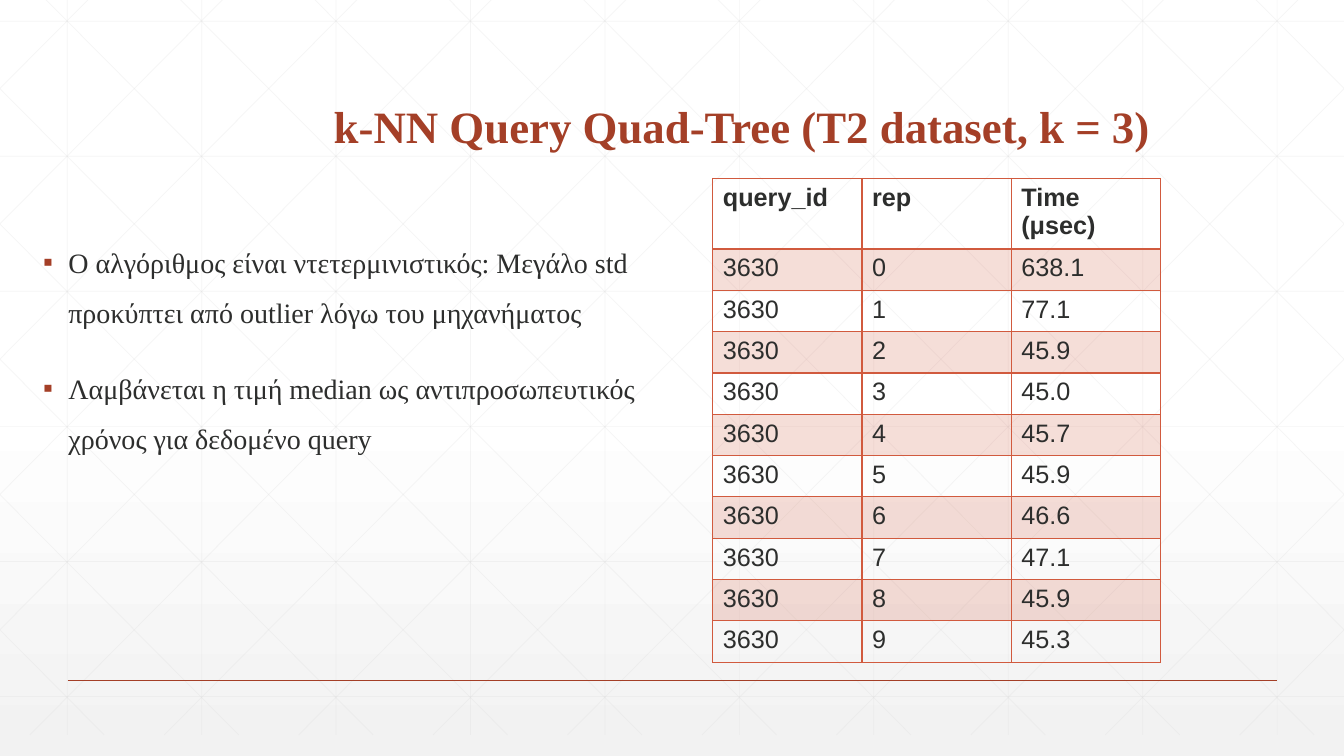
import pptx
import pptx.dml.color
import pptx.enum.dml
import pptx.enum.shapes
import pptx.enum.text
import pptx.oxml
import pptx.oxml.ns
import pptx.util
from dataclasses import dataclass
from lxml import etree
from pptx.util import Inches

TITLE = "k-NN Query Quad-Tree (T2 dataset, k = 3)"
REMARKS = [
    "Ο αλγόριθμος είναι ντετερμινιστικός: Μεγάλο std προκύπτει από outlier λόγω του μηχανήματος",
    "Λαμβάνεται η τιμή median ως αντιπροσωπευτικός χρόνος για δεδομένο query",
]
HEADINGS = ("query_id", "rep", "Time (μsec)")
QUERY_ID = "3630"
TIMES = ("638.1", "77.1", "45.9", "45.0", "45.7", "45.9", "46.6", "47.1", "45.9", "45.3")


@dataclass(frozen=True)
class Theme:
    accent: str = "A43F27"
    table: str = "D15A3E"
    text: str = "2D2E2D"
    grid: str = "D9D9D9"
    paper: str = "FFFFFF"
    shade: str = "F2F2F2"
    serif: str = "Times New Roman"
    sans: str = "Arial"
    title_size: int = 32
    remark_size: int = 20
    table_size: int = 18


THEME = Theme()
WIDTH, HEIGHT = 13.33, 7.5
GRID_TOP, GRID_BOTTOM = -0.21, 7.29
COLUMN_STEP, ROW_STEP = 4 / 3, 1.34
DIAGONAL_START, DIAGONAL_RUN = 0.25, 7.45


def rgb(code):
    return pptx.dml.color.RGBColor.from_string(code)


def xml(markup):
    return pptx.oxml.parse_xml(markup.replace(">", f" {pptx.oxml.ns.nsdecls('a', 'p')}>", 1))


def set_alpha(fill_parent, percent):
    color = next(fill_parent.iter(pptx.oxml.ns.qn("a:srgbClr")))
    etree.SubElement(color, pptx.oxml.ns.qn("a:alpha"), val=str(percent * 1000))


def write(paragraph, text, *, size, font, color, bold=False, line_spacing=None):
    paragraph.text = text
    paragraph.alignment = pptx.enum.text.PP_ALIGN.LEFT
    if line_spacing:
        paragraph.line_spacing = line_spacing
    paragraph.font.size = pptx.util.Pt(size)
    paragraph.font.name = font
    paragraph.font.bold = bold
    paragraph.font.color.rgb = rgb(color)


def add_line(shapes, start, end, color, width, alpha=None):
    line = shapes.add_connector(
        pptx.enum.shapes.MSO_CONNECTOR.STRAIGHT, *(Inches(v) for v in (*start, *end)))
    line.line.color.rgb = rgb(color)
    line.line.width = pptx.util.Pt(width)
    properties = line._element.spPr
    if alpha:
        set_alpha(properties, alpha)
    etree.SubElement(properties, pptx.oxml.ns.qn("a:effectLst"))


def grid_lines():
    """Yield the ends of every vertical, horizontal and diagonal grid line."""
    for i in range(10):
        x = 2 / 3 + i * COLUMN_STEP
        yield (x, GRID_TOP), (x, GRID_BOTTOM)
    for i in range(6):
        y = 0.21 + i * ROW_STEP
        yield (0, y), (WIDTH, y)
    slope = (GRID_BOTTOM - GRID_TOP) / DIAGONAL_RUN
    for i in range(-5, 10):
        origin = DIAGONAL_START + i * COLUMN_STEP
        left, right = max(origin, 0), min(origin + DIAGONAL_RUN, WIDTH)
        top, bottom = (GRID_TOP + (x - origin) * slope for x in (left, right))
        yield (left, top), (right, bottom)
        yield (WIDTH - left, top), (WIDTH - right, bottom)


def paint_background(slide):
    slide.background.fill.solid()
    properties = slide.background._cSld.bg.bgPr
    stops = ((0, THEME.paper), (53, THEME.paper), (100, THEME.shade))
    marks = "".join(f'<a:gs pos="{at * 1000}"><a:srgbClr val="{c}"/></a:gs>' for at, c in stops)
    gradient = xml(f'<a:gradFill><a:gsLst>{marks}</a:gsLst><a:lin ang="5400000"/></a:gradFill>')
    properties.replace(properties[0], gradient)


def add_title(slide):
    title = slide.shapes.title
    title.left, title.top, title.width, title.height = map(Inches, (3.21, 0.55, 8.69, 1.02))
    frame = title.text_frame
    frame.auto_size = pptx.enum.text.MSO_AUTO_SIZE.NONE
    frame.vertical_anchor = pptx.enum.text.MSO_ANCHOR.BOTTOM
    write(frame.paragraphs[0], TITLE, size=THEME.title_size, font=THEME.serif,
          color=THEME.accent, bold=True, line_spacing=0.9)
    title.element.getparent().append(title.element)


def add_remarks(slide):
    frame = slide.shapes.add_textbox(*map(Inches, (0.33, 2.22, 6.34, 3.64))).text_frame
    frame.word_wrap = True
    for i, remark in enumerate(REMARKS):
        paragraph = frame.add_paragraph() if i else frame.paragraphs[0]
        if i:
            paragraph.space_before = pptx.util.Pt(18)
        paragraph.line_spacing = 1.5
        properties = paragraph._p.get_or_add_pPr()
        properties.set("marL", str(Inches(0.25)))
        properties.set("indent", str(Inches(-0.25)))
        properties.append(xml(f'<a:buClr><a:srgbClr val="{THEME.accent}"/></a:buClr>'))
        properties.append(xml('<a:buFont typeface="Arial"></a:buFont>'))
        properties.append(xml('<a:buChar char="▪"></a:buChar>'))
        write(paragraph, remark, size=THEME.remark_size, font=THEME.serif, color=THEME.text)


def set_borders(cell, widths):
    properties = cell._tc.get_or_add_tcPr()
    for place, (side, width) in enumerate(widths.items()):
        properties.insert(place, xml(
            f'<a:ln{side} w="{pptx.util.Pt(width)}"><a:solidFill>'
            f'<a:srgbClr val="{THEME.table}"/></a:solidFill></a:ln{side}>'))


def add_times(slide):
    rows = [HEADINGS] + [(QUERY_ID, str(rep), time) for rep, time in enumerate(TIMES)]
    times = slide.shapes.add_table(
        len(rows), len(HEADINGS), *map(Inches, (7.07, 1.77, 4.44, 4.76))).table
    times.horz_banding = False
    for column in times.columns:
        column.width = Inches(1.48)
    for r, row in enumerate(rows):
        times.rows[r].height = Inches(0.41 if r else 0.66)
        for c, value in enumerate(row):
            cell = times.cell(r, c)
            write(cell.text_frame.paragraphs[0], value, size=THEME.table_size,
                  font=THEME.sans, color=THEME.text, bold=r == 0)
            if r % 2:
                cell.fill.solid()
                cell.fill.fore_color.rgb = rgb(THEME.table)
                set_alpha(cell._tc.tcPr, 20)
            else:
                cell.fill.background()
            set_borders(cell, {"L": 1, "R": 1, "T": 2 if r == 1 else 1, "B": 1 if r else 2})


def main():
    deck = pptx.Presentation()
    deck.slide_width, deck.slide_height = Inches(WIDTH), Inches(HEIGHT)
    slide = deck.slides.add_slide(deck.slide_layouts[5])
    paint_background(slide)
    grid = slide.shapes.add_group_shape()
    for start, end in grid_lines():
        add_line(grid.shapes, start, end, THEME.grid, 0.5, alpha=25)
    add_line(slide.shapes, (0.67, 6.75), (12.67, 6.75), THEME.accent, 1)
    add_remarks(slide)
    add_times(slide)
    add_title(slide)
    deck.save("out.pptx")


if __name__ == "__main__":
    main()
